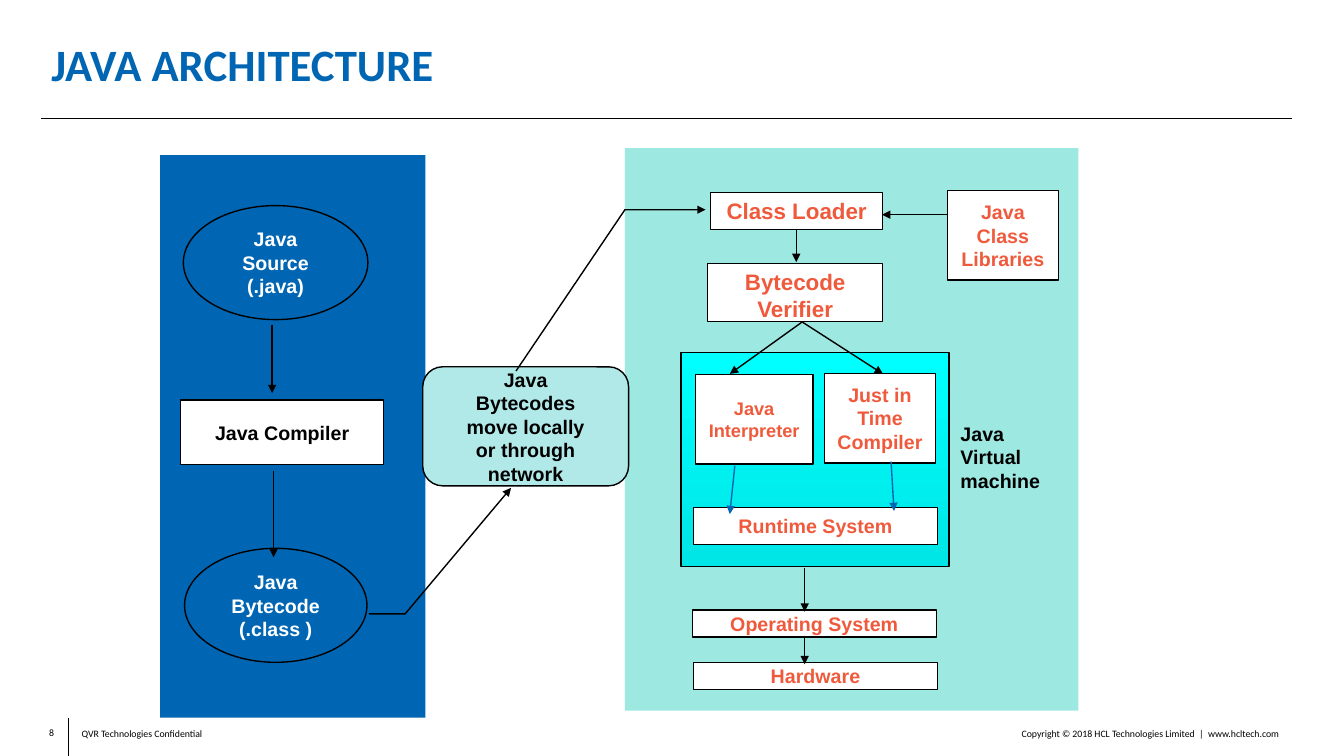
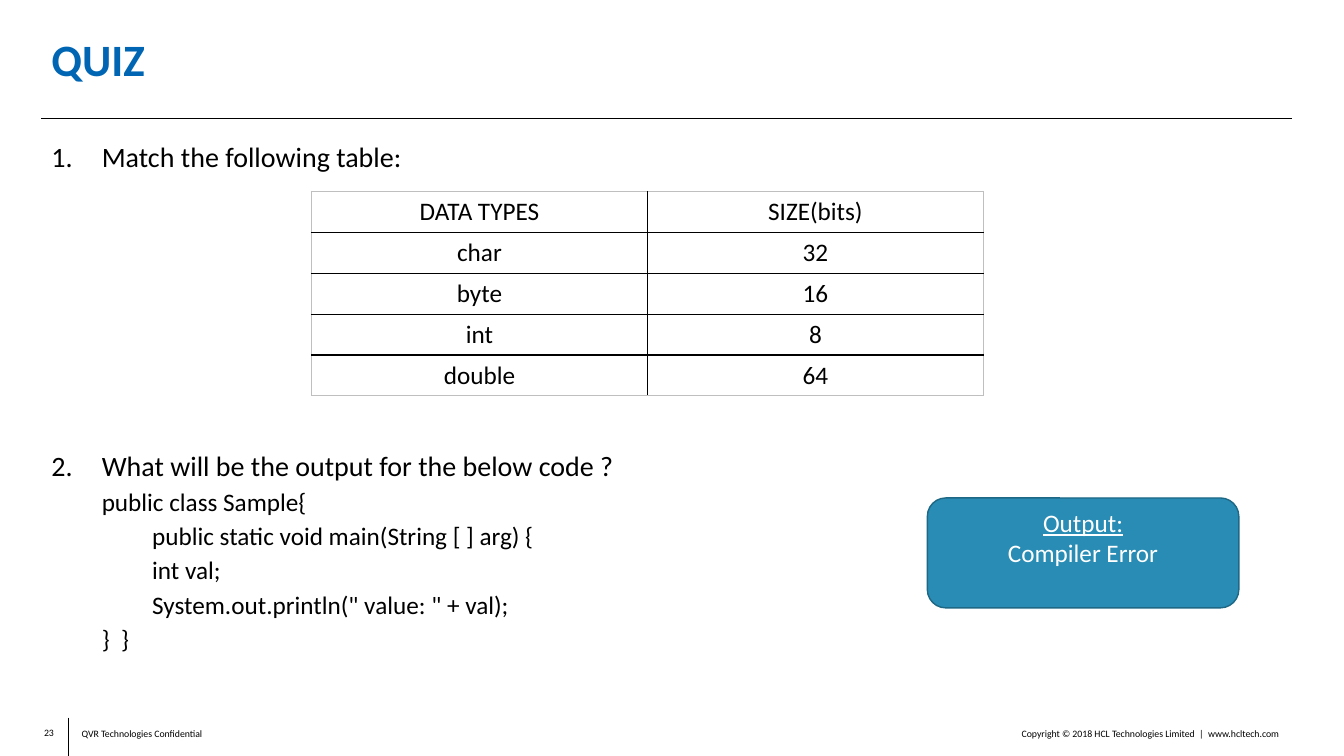
from dataclasses import dataclass

from lxml import etree
from pptx import Presentation
from pptx import util as u
from pptx.dml import color as dml
from pptx.enum import shapes, text
from pptx.oxml import ns

COLOURS = {
    "black": "000000",
    "white": "FFFFFF",
    "blue": "0066B3",
    "mint": "9EE8E2",
    "pale": "B1E9E8",
    "coral": "F05A3C",
    "cyan": "00FFFF",
    "deep cyan": "00E5E5",
    "teal": "288CB4",
    "dark teal": "1E6885",
    "grey": "BFBFBF",
}
LEFT, RIGHT = 29.5, 923
ALIGN = text.PP_ALIGN
ANCHOR = text.MSO_ANCHOR
KIND = shapes.MSO_SHAPE


@dataclass(frozen=True)
class Box:
    """A filled shape; lengths are in points."""
    left: float
    top: float
    width: float
    height: float
    label: str = ""
    fill: str | None = "white"
    ink: str = "coral"
    size: float = 14
    font: str = "Arial"
    bold: bool = True
    kind: shapes.MSO_SHAPE = KIND.RECTANGLE
    line: str | None = "black"
    line_width: float = 1
    wrap: bool = True
    anchor: text.MSO_ANCHOR = ANCHOR.MIDDLE
    align: text.PP_ALIGN = ALIGN.CENTER


@dataclass(frozen=True)
class Arrow:
    """A path whose last point carries the arrowhead."""
    points: tuple[tuple[float, float], ...]
    colour: str = "black"


BOXES = (
    Box(446.4, 105.8, 324, 401.8, fill="mint", line=None),
    Box(114.5, 110.9, 189.4, 401.8, fill="blue", line=None),
    Box(302, 262, 147, 85, "Java\nBytecodes\nmove locally\nor through\nnetwork",
        fill="pale", ink="black", kind=KIND.FLOWCHART_ALTERNATE_PROCESS, wrap=False),
    Box(131, 146.9, 131.8, 81.4, "Java\nSource\n(.java)", fill=None, ink="white", kind=KIND.OVAL),
    Box(129, 285.8, 145.2, 46.1, "Java Compiler", ink="black"),
    Box(131.8, 391.7, 130.3, 81.4, "Java\nBytecode\n(.class )", fill=None, ink="white",
        kind=KIND.OVAL),
    Box(486.3, 252, 191.6, 152.6, fill="cyan"),
    Box(496.6, 267.4, 84.2, 64.1, "Java\nInterpreter", size=13),
    Box(589, 266.6, 79.2, 64.1, "Just in Time\nCompiler"),
    Box(495.4, 362.4, 174.2, 26.4, "Runtime System", wrap=False),
    Box(676.8, 136, 79.2, 64.1, "Java Class\nLibraries"),
    Box(494.6, 435.8, 174.2, 19.2, "Operating System", wrap=False),
    Box(495.4, 473.2, 174.2, 19.2, "Hardware", wrap=False),
    Box(679, 300.2, 80, 52.6, "Java\nVirtual\nmachine", fill=None, ink="black", line=None,
        align=ALIGN.LEFT),
    Box(507.5, 137.4, 123.2, 26.7, "Class Loader", size=16, line_width=0.75, anchor=ANCHOR.TOP),
    Box(505.4, 188.2, 125.2, 41.8, "Bytecode Verifier", size=16, line_width=0.75,
        anchor=ANCHOR.TOP),
)
ARROWS = (
    Arrow(((194.4, 231.8), (194.4, 280.8))),
    Arrow(((195.4, 336.2), (195.4, 398))),
    Arrow(((524.9, 332.6), (521.3, 367.2)), "blue"),
    Arrow(((636.5, 329.8), (638.6, 365)), "blue"),
    Arrow(((677.5, 153.4), (630, 153.4))),
    Arrow(((573, 230), (521.3, 267.1))),
    Arrow(((573, 230), (630.7, 267.1))),
    Arrow(((574.8, 405.4), (574.8, 437))),
    Arrow(((574.8, 454.3), (574.8, 474.5))),
    Arrow(((568.8, 164.2), (568.8, 187.2))),
    Arrow(((263.5, 438.5), (289.4, 438.5), (365, 348.5))),
    Arrow(((368.6, 265), (446.4, 149.8), (504, 149.8))),
)
SIZES = (
    ("DATA TYPES", "SIZE(bits)"),
    ("char", "32"),
    ("byte", "16"),
    ("int", "8"),
    ("double", "64"),
)
QUESTIONS = ("Match the following table:", "What will be the output for the below code ?")
CODE = (
    "public class Sample{",
    "\tpublic static void main(String [ ] arg) {",
    "\tint val;",
    "\tSystem.out.println(\" value: \" + val);",
    "}  }",
)


def rgb(name: str) -> dml.RGBColor:
    return dml.RGBColor.from_string(COLOURS[name])


def style(para, size: float, ink: str = "black", font: str = "Calibri", bold: bool = False,
          align=ALIGN.LEFT) -> None:
    para.alignment = align
    for span in para.runs:
        span.font.name = font
        span.font.size = u.Pt(size)
        span.font.bold = bold
        span.font.color.rgb = rgb(ink)


def place(shape, left: float, top: float, width: float, height: float) -> None:
    shape.left, shape.top = u.Pt(left), u.Pt(top)
    shape.width, shape.height = u.Pt(width), u.Pt(height)


def set_insets(frame, side: float, top: float, bottom: float) -> None:
    frame.margin_left = frame.margin_right = u.Pt(side)
    frame.margin_top, frame.margin_bottom = u.Pt(top), u.Pt(bottom)


def add_line(page, start: tuple[float, float], end: tuple[float, float],
             colour: str = "black", width: float = 0.5):
    line = page.shapes.add_connector(
        shapes.MSO_CONNECTOR.STRAIGHT, *(u.Pt(value) for value in (*start, *end)))
    line.line.color.rgb = rgb(colour)
    line.line.width = u.Pt(width)
    etree.SubElement(line.element.spPr, ns.qn("a:effectLst"))
    return line


def add_arrow(page, arrow: Arrow) -> None:
    if len(arrow.points) == 2:
        path = add_line(page, *arrow.points, arrow.colour, 1)
    else:
        points = [(u.Pt(x), u.Pt(y)) for x, y in arrow.points]
        builder = page.shapes.build_freeform(*points[0])
        builder.add_line_segments(points[1:], close=False)
        path = builder.convert_to_shape()
        path.shadow.inherit = False
        path.fill.background()
        path.line.color.rgb = rgb(arrow.colour)
        path.line.width = u.Pt(1)
    outline = path.element.spPr.find(ns.qn("a:ln"))
    etree.SubElement(outline, ns.qn("a:tailEnd"), type="triangle")


def add_box(page, box: Box):
    shape = page.shapes.add_shape(box.kind, 0, 0, 0, 0)
    place(shape, box.left, box.top, box.width, box.height)
    shape.shadow.inherit = False
    if box.fill == "cyan":
        shape.fill.gradient()
        shape.fill.gradient_angle = 270
        for stop, name in zip(shape.fill.gradient_stops, ("cyan", "deep cyan")):
            stop.color.rgb = rgb(name)
    elif box.fill:
        shape.fill.solid()
        shape.fill.fore_color.rgb = rgb(box.fill)
    else:
        shape.fill.background()
    if box.line:
        shape.line.color.rgb = rgb(box.line)
        shape.line.width = u.Pt(box.line_width)
    else:
        shape.line.fill.background()
    if box.label:
        frame = shape.text_frame
        frame.text = box.label
        frame.word_wrap = box.wrap
        frame.vertical_anchor = box.anchor
        set_insets(frame, 7.2, 3.6, 3.6)
        for para in frame.paragraphs:
            style(para, box.size, box.ink, box.font, box.bold, box.align)
    return shape


def add_small_print(page, label: str, left: float, top: float, width: float,
                    align=ALIGN.LEFT, inset: float = 6.5) -> None:
    box = page.shapes.add_textbox(u.Pt(left), u.Pt(top), u.Pt(width), u.Pt(15))
    frame = box.text_frame
    frame.text = label
    frame.word_wrap = True
    set_insets(frame, inset, 3.3, 3.3)
    style(frame.paragraphs[0], 7, align=align)


def add_page(deck, layout: int, title: str, title_top: float, number: int):
    """Adds a slide with the shared title, rules and footer."""
    page = deck.slides.add_slide(deck.slide_layouts[layout])
    heading = page.shapes.title
    place(heading, LEFT, title_top, 825, 48.2)
    frame = heading.text_frame
    frame.text = title
    frame.vertical_anchor = ANCHOR.MIDDLE
    frame.auto_size = text.MSO_AUTO_SIZE.NONE
    para = frame.paragraphs[0]
    para.line_spacing = 0.9
    style(para, 32, "blue", bold=True)
    add_line(page, (LEFT, 84.2), (RIGHT, 84.2))
    add_line(page, (49, 512.6), (49, 540))
    add_small_print(page, str(number), 18, 515.5, 20.5, ALIGN.RIGHT, 0)
    add_small_print(page, "QVR Technologies Confidential", 51.8, 516.2, 229)
    add_small_print(page, "Copyright © 2018 HCL Technologies Limited  |  www.hcltech.com",
                    559.4, 516.2, 360.7, ALIGN.RIGHT)
    return page


def set_indent(para, left: float, first: float, bullet: str, **attributes: str) -> None:
    props = para._p.get_or_add_pPr()
    props.set("marL", str(u.Pt(left)))
    props.set("indent", str(u.Pt(first)))
    etree.SubElement(props, ns.qn(bullet), attributes)


def fill_quiz(body) -> None:
    place(body, LEFT, 98.6, 893.5, 388)
    frame = body.text_frame
    frame.text = "\n".join(QUESTIONS + CODE)
    frame.auto_size = text.MSO_AUTO_SIZE.NONE
    for index, para in enumerate(frame.paragraphs):
        is_question = index < len(QUESTIONS)
        if is_question:
            set_indent(para, 36, -36, "a:buAutoNum", type="arabicPeriod", startAt=str(index + 1))
        else:
            para.level = 1
            set_indent(para, 72, -36, "a:buNone")
        para.line_spacing = 0.9
        # The second question leaves room for the table.
        para.space_before = u.Pt((0, 199.4)[index] if is_question else 5)
        style(para, 20 if is_question else 18)


def set_border(cell, side: str, colour: str) -> None:
    border = etree.SubElement(cell._tc.get_or_add_tcPr(), ns.qn(f"a:{side}"), w=str(u.Pt(1)))
    fill = etree.SubElement(border, ns.qn("a:solidFill"))
    etree.SubElement(fill, ns.qn("a:srgbClr"), val=COLOURS[colour])


def add_sizes_table(page) -> None:
    rows, columns = len(SIZES), len(SIZES[0])
    table = page.shapes.add_table(
        rows, columns, u.Pt(222.5), u.Pt(136.8), u.Pt(480), u.Pt(29.2 * rows)).table
    table.first_row = table.horz_banding = False
    for r, row in enumerate(SIZES):
        for c, label in enumerate(row):
            cell = table.cell(r, c)
            cell.text = label
            style(cell.text_frame.paragraphs[0], 18, align=ALIGN.CENTER)
            outer = {"lnL": c == 0, "lnR": c == columns - 1, "lnT": r == 0, "lnB": r == rows - 1}
            for side, is_outer in outer.items():
                set_border(cell, side, "grey" if is_outer else "black")
            cell.fill.background()


def main() -> None:
    deck = Presentation()
    deck.slide_width, deck.slide_height = u.Pt(960), u.Pt(540)

    architecture = add_page(deck, 5, "JAVA ARCHITECTURE", 23.8, 8)
    for box in BOXES:
        add_box(architecture, box)
    for arrow in ARROWS:
        add_arrow(architecture, arrow)

    quiz = add_page(deck, 1, "QUIZ", 20.2, 23)
    fill_quiz(quiz.placeholders[1])
    add_sizes_table(quiz)
    answer = add_box(quiz, Box(
        662.4, 355.7, 222.5, 78.5, "Output:\nCompiler Error", fill="teal", ink="white", size=18,
        font="Calibri", bold=False, kind=KIND.ROUNDED_RECTANGLE, line="dark teal"))
    answer.text_frame.margin_bottom = u.Pt(25.6)
    answer.text_frame.paragraphs[0].runs[0].font.underline = True
    deck.save("out.pptx")


if __name__ == "__main__":
    main()
